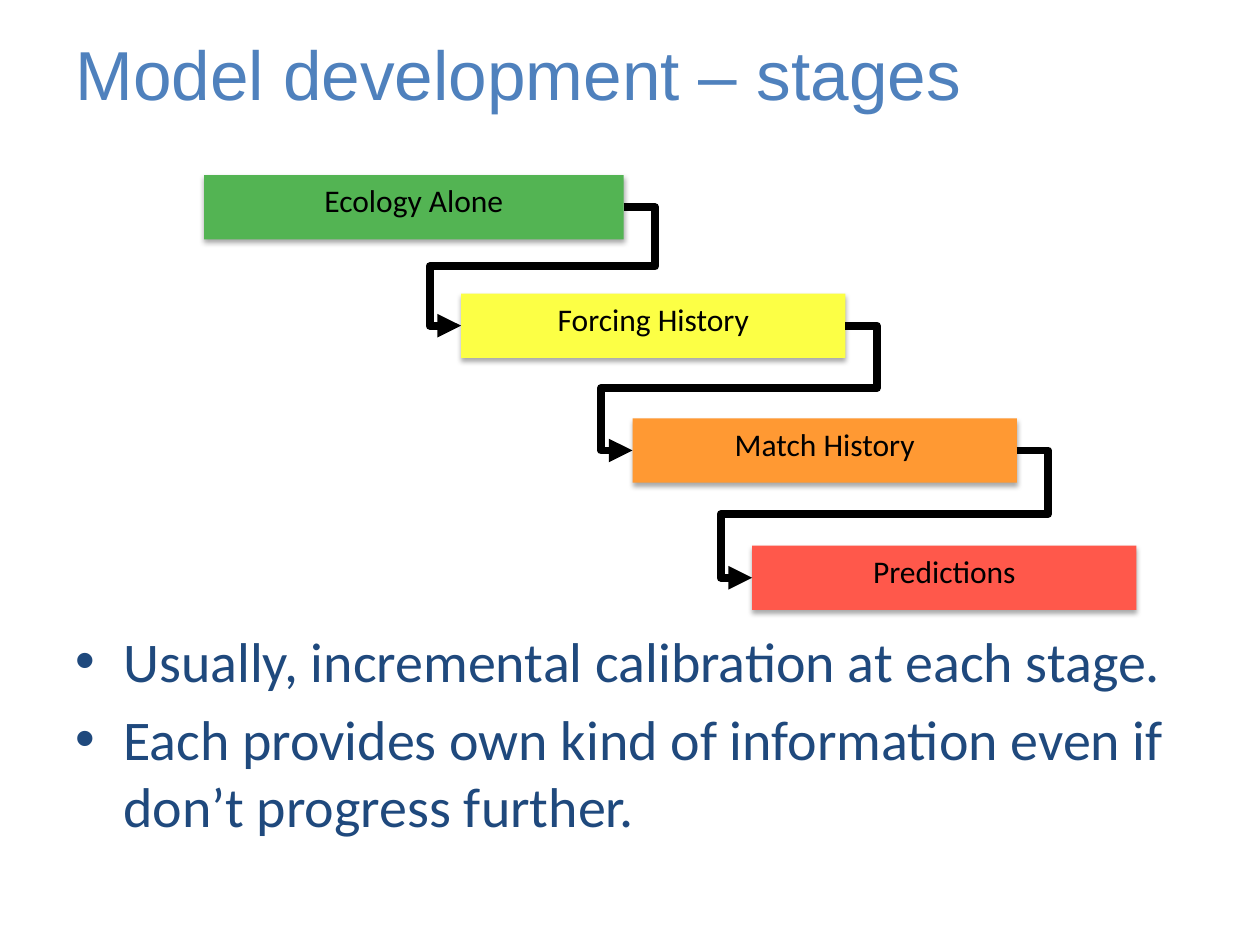
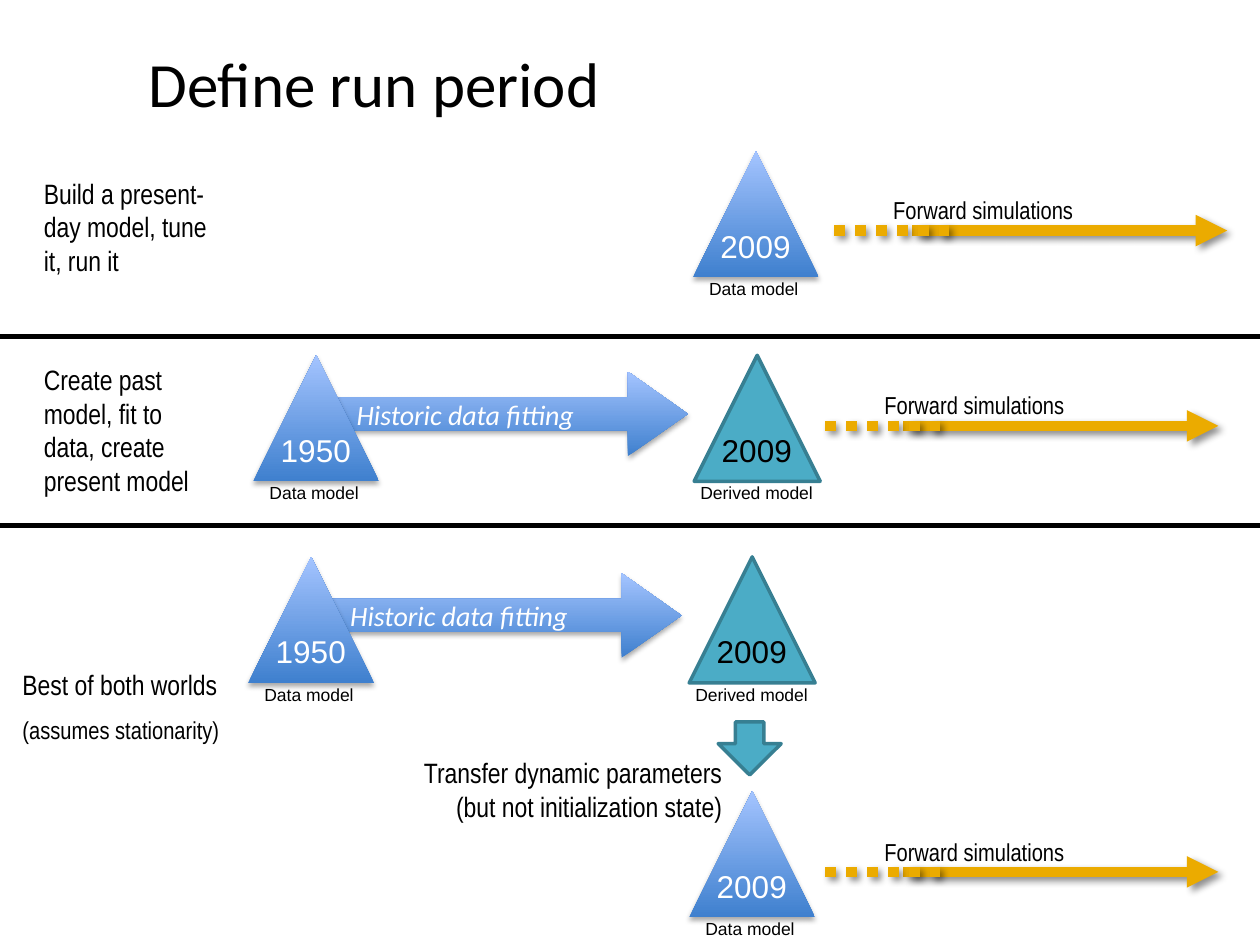
"""Build two slides on the stages of model development and the choice of run period."""

from lxml.etree import SubElement
from pptx import Presentation
from pptx.dml.color import RGBColor
from pptx.enum.dml import MSO_LINE
from pptx.enum.shapes import MSO_CONNECTOR, MSO_SHAPE
from pptx.enum.text import MSO_ANCHOR, PP_ALIGN
from pptx.oxml.ns import qn
from pptx.util import Inches, Pt

BLACK, WHITE = "000000", "FFFFFF"
TITLE_BLUE, BODY_BLUE = "4F81BD", "1F497D"
DATA_BLUE, DATA_BLUE_TOP = "3F80CE", "A4C4FF"
DERIVED, DERIVED_EDGE = "4BACC6", "377F92"
FORWARD = "EBAB00"
SOFT_SHADOW = {"blur": 3.1, "distance": 1.8, "angle": 90, "alpha": 35}
CAST_SHADOW = {"blur": 4, "distance": 3, "angle": 45, "alpha": 43}

deck = Presentation()
deck.slide_width, deck.slide_height = Inches(10), Inches(7.5)
blank = deck.slide_layouts[6]
# The slide is a grid of 100 columns by 75 rows of square cells.
cell = deck.slide_width // 100
effects = []


def paint(fill, colour, top_colour=None):
    """Fill with one colour, or with a gradient rising to top_colour."""
    if top_colour is None:
        fill.solid()
        fill.fore_color.rgb = RGBColor.from_string(colour)
        return
    fill.gradient()
    fill.gradient_angle = 90
    for stop, position, stop_colour in zip(fill.gradient_stops, (0, 1), (colour, top_colour)):
        stop.position = position
        stop.color.rgb = RGBColor.from_string(stop_colour)


def write(target, text, at=None, font="Arial Narrow", size=16, colour=BLACK, italic=False,
          align=PP_ALIGN.LEFT, anchor=MSO_ANCHOR.TOP, before=0, inset=1, bullet=None):
    """Add a paragraph to a shape, or to a new text box when a grid place is given."""
    box = target.shapes.add_textbox(*(int(cell * n) for n in at)) if at else target
    frame = box.text_frame
    frame.word_wrap = True
    frame.vertical_anchor = anchor
    frame.margin_left = int(cell * inset)
    para = frame.add_paragraph() if frame.text else frame.paragraphs[0]
    if bullet:
        properties = para._p.get_or_add_pPr()
        properties.set("marL", str(Inches(0.38)))
        properties.set("indent", str(-Inches(0.38)))
        SubElement(properties, qn("a:buFont"), typeface="Arial")
        SubElement(properties, qn("a:buChar"), char=bullet)
    para.alignment = align
    if before:
        para.space_before = Pt(before)
    span = para.add_run()
    span.text = text
    span.font.name, span.font.size, span.font.italic = font, Pt(size), italic
    paint(span.font.fill, colour)
    return box


page = deck.slides.add_slide(blank)
write(page, "Model development – stages", at=(5, 2, 90, 7.5), font="Arial", size=39.6,
      colour=TITLE_BLUE, anchor=MSO_ANCHOR.MIDDLE)
body = write(page, "Usually, incremental calibration at each stage.", at=(5, 49.2, 90, 20),
             font="Calibri", size=32, colour=BODY_BLUE, bullet="•")
write(body, "Each provides own kind of information even if don’t progress further.",
      font="Calibri", size=32, colour=BODY_BLUE, before=6.4, bullet="•")

stages = [
    ("Ecology Alone", "53B453", 16.2, 13.9, 33.3),
    ("Forcing History", "FCFF45", 36.6, 23.3, 30.5),
    ("Match History", "FF9933", 50.2, 33.2, 30.5),
    ("Predictions", "FF584B", 59.7, 43.3, 30.5),
]
stage_height, stub = 5.1, 2.5
for name, colour, left, top, width in stages:
    stage = page.shapes.add_shape(
        MSO_SHAPE.RECTANGLE, *(int(cell * n) for n in (left, top, width, stage_height)))
    paint(stage.fill, colour)
    stage.line.fill.background()
    write(stage, name, font="Calibri", size=18, align=PP_ALIGN.CENTER)
    effects.append((stage, SOFT_SHADOW))

for (_, _, left, top, width), (_, _, next_left, next_top, _) in zip(stages, stages[1:]):
    ends = (left + width, top + stage_height / 2, next_left, next_top + stage_height / 2)
    step = page.shapes.add_connector(MSO_CONNECTOR.ELBOW, *(int(cell * n) for n in ends))
    paint(step.line.fill, BLACK)
    step.line.width = Pt(4.5)
    SubElement(step.get_or_add_ln(), qn("a:tailEnd"), type="triangle")
    overshoot = stub / (left + width - next_left)
    geometry = step.element.spPr.find(qn("a:prstGeom"))
    geometry.set("prst", "bentConnector5")
    for index, share in enumerate((-overshoot, 0.5, 1 + overshoot), start=1):
        SubElement(geometry.find(qn("a:avLst")), qn("a:gd"), name=f"adj{index}",
                   fmla=f"val {round(share * 100000)}")
    effects.append((step, None))

page = deck.slides.add_slide(blank)
write(page, "Define run period", at=(10.8, 2, 88, 9.1), font="Calibri", size=36,
      anchor=MSO_ANCHOR.MIDDLE)

for left, top in [(26.3, 29.5), (25.8, 45.5)]:
    fitting = page.shapes.add_shape(
        MSO_SHAPE.RIGHT_ARROW, *(int(cell * n) for n in (left, top, 28.3, 6.7)))
    fitting.adjustments[0], fitting.adjustments[1] = 0.39, 0.71
    paint(fitting.fill, DATA_BLUE, DATA_BLUE_TOP)
    fitting.line.fill.background()
    write(fitting, "Historic data fitting", font="Calibri", colour=WHITE, italic=True,
          anchor=MSO_ANCHOR.MIDDLE, inset=2)
    effects.append((fitting, SOFT_SHADOW))

models = [
    ("2009", "Data model", 55, 12),
    ("1950", "Data model", 20.1, 28.2),
    ("2009", "Derived model", 55.1, 28.2),
    ("1950", "Data model", 19.7, 44.2),
    ("2009", "Derived model", 54.7, 44.2),
    ("2009", "Data model", 54.7, 62.8),
]
symbols = [(MSO_SHAPE.ISOSCELES_TRIANGLE, left, top, 10, 10, caption == "Derived model")
           for _, caption, left, top in models]
symbols.append((MSO_SHAPE.DOWN_ARROW, 57, 57.3, 5, 4.2, True))
for kind, left, top, width, height, derived in symbols:
    symbol = page.shapes.add_shape(kind, *(int(cell * n) for n in (left, top, width, height)))
    if derived:
        paint(symbol.fill, DERIVED)
        paint(symbol.line.fill, DERIVED_EDGE)
        symbol.line.width = Pt(2)
    else:
        paint(symbol.fill, DATA_BLUE, DATA_BLUE_TOP)
        symbol.line.fill.background()
    if kind == MSO_SHAPE.DOWN_ARROW:
        symbol.adjustments[0], symbol.adjustments[1] = 0.45, 0.59
    effects.append((symbol, None if derived else SOFT_SHADOW))

for year, caption, left, top in models:
    derived = caption == "Derived model"
    write(page, year, at=(left + 1.2, top + 5.5, 8.3, 4), font="Arial", size=18,
          colour=BLACK if derived else WHITE)
    write(page, caption, at=(left + (-0.5 if derived else 0.3), top + 9.6, 17.5, 2.7),
          font="Arial", size=10)

rules = [(0, 26.7, 100, BLACK, 3, None, False), (0, 41.7, 100, BLACK, 3, None, False)]
for left, middle in [(72.4, 18.3), (71.7, 33.8), (71.7, 69.2)]:
    rules.append((left, middle, left + 25, FORWARD, 6, None, True))
    rules.append((left - 6.2, middle, left + 2.9, FORWARD, 6, MSO_LINE.ROUND_DOT, False))
    write(page, "Forward simulations", at=(left - 2.5, middle - 3.3, 27, 3.3), size=14)

for start, middle, end, colour, weight, dash, arrow in rules:
    rule = page.shapes.add_connector(
        MSO_CONNECTOR.STRAIGHT, *(int(cell * n) for n in (start, middle, end, middle)))
    paint(rule.line.fill, colour)
    rule.line.width = Pt(weight)
    if dash:
        rule.line.dash_style = dash
    if arrow:
        SubElement(rule.get_or_add_ln(), qn("a:tailEnd"), type="triangle")
    effects.append((rule, CAST_SHADOW if colour == FORWARD else None))

write(page, "Build a present-day model, tune it, run it", at=(2.5, 13.5, 15, 9))
write(page, "Create past model, fit to data, create present model", at=(2.5, 28.3, 15, 11.7))
worlds = write(page, "Best of both worlds", at=(0.8, 52.5, 19.2, 7.2))
write(worlds, "(assumes stationarity)", size=14, before=8)
write(page, "Transfer dynamic parameters (but not initialization state)",
      at=(30.8, 59.5, 27.5, 6.4), align=PP_ALIGN.RIGHT)

for shape, shadow in effects:
    effect_list = SubElement(shape.element.spPr, qn("a:effectLst"))
    if shadow:
        outer = SubElement(effect_list, qn("a:outerShdw"), blurRad=str(Pt(shadow["blur"])),
                           dist=str(Pt(shadow["distance"])), dir=str(shadow["angle"] * 60000),
                           rotWithShape="0")
        tint = SubElement(outer, qn("a:srgbClr"), val=BLACK)
        SubElement(tint, qn("a:alpha"), val=str(shadow["alpha"] * 1000))

deck.save("out.pptx")
